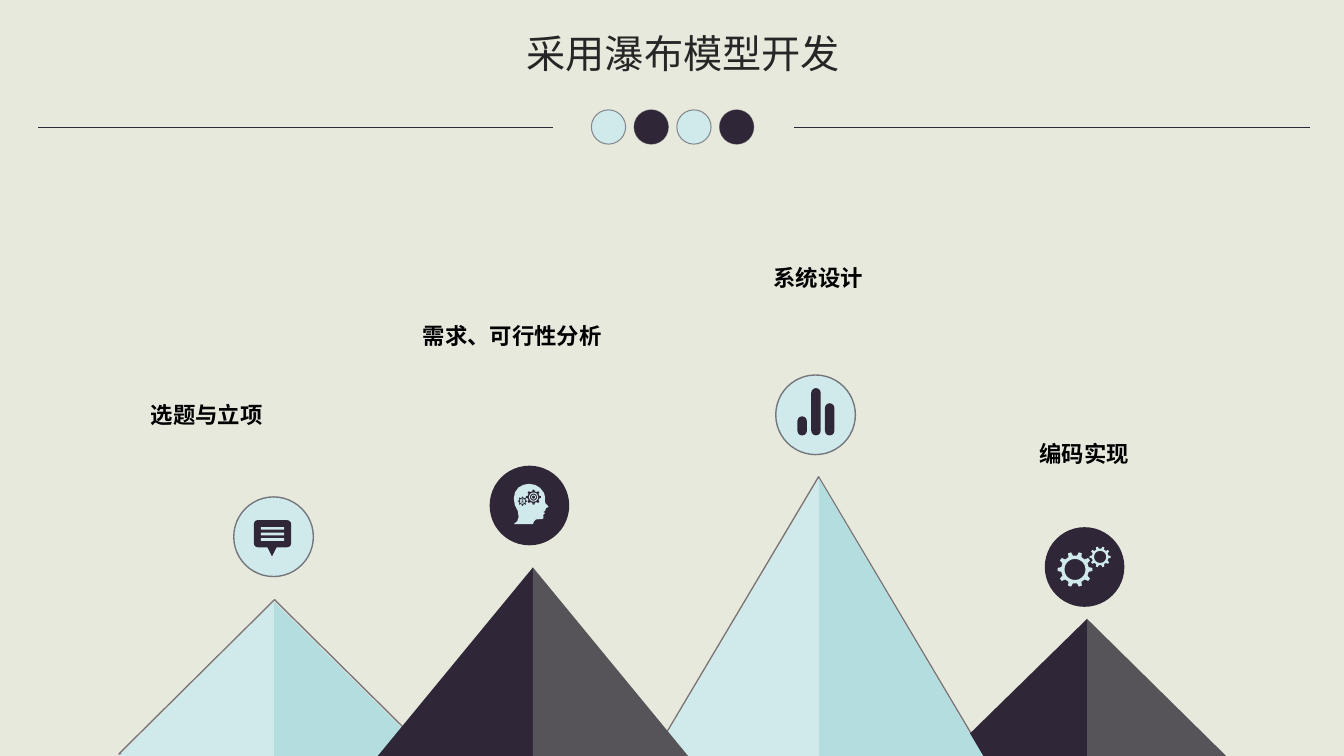
import math

import lxml.etree
import pptx
import pptx.util
from pptx.dml.color import RGBColor
from pptx.enum.shapes import MSO_CONNECTOR, MSO_SHAPE
from pptx.enum.text import MSO_AUTO_SIZE
from pptx.oxml.ns import qn

PX = 914.4  # EMU per px, 1000 px to the inch
WIDTH, HEIGHT = 13340, 7500
ICE, AQUA = "D0EAEB", "B3DDDF"
INK, GREY = "2F2637", "565458"
rgb = RGBColor.from_string


def paint(sp, fill=None, line=None):
    """Set fill and an ink outline; line is (points, opacity in percent)."""
    sp.shadow.inherit = False
    if fill:
        sp.fill.solid()
        sp.fill.fore_color.rgb = rgb(fill)
    else:
        sp.fill.background()
    if line:
        points, opacity = line
        sp.line.width = pptx.util.Pt(points)
        sp.line.color.rgb = rgb(INK)
        color = sp._element.spPr.find(qn("a:ln")).find(".//" + qn("a:srgbClr"))
        lxml.etree.SubElement(color, qn("a:alpha"), val=str(opacity * 1000))
    else:
        sp.line.fill.background()


def add_preset(kind, box, fill=None, line=None, adj=None):
    sp = s.shapes.add_shape(kind, *(round(v * PX) for v in box))
    if adj is not None:
        sp.adjustments[0] = adj
    paint(sp, fill, line)
    return sp


prs = pptx.Presentation()
prs.slide_width, prs.slide_height = round(WIDTH * PX), round(HEIGHT * PX)
s = prs.slides.add_slide(prs.slide_layouts[6])
s.background.fill.solid()
s.background.fill.fore_color.rgb = rgb("E7E9DC")

# Header: rules and dots
for x1, x2 in ((380, 5490), (7880, 13000)):
    rule = s.shapes.add_connector(
        MSO_CONNECTOR.STRAIGHT, *(round(v * PX) for v in (x1, 1260, x2, 1260)))
    rule.line.width = pptx.util.Pt(0.5)
    rule.line.color.rgb = rgb(INK)
    lxml.etree.SubElement(rule._element.spPr, qn("a:effectLst"))
for i in range(4):
    add_preset(MSO_SHAPE.OVAL, (5870 + 424 * i, 1090, 340, 340),
               (ICE, INK)[i % 2], (0.75, 50))

# Mountains: left, peak, right, top, left face, right face
mountains = (
    (9400, 10790, 12170, 6140, INK, GREY),
    (6490, 8130, 9760, 4750, ICE, AQUA),
    (1180, 2720, 4270, 5970, ICE, AQUA),
    (3750, 5290, 6830, 5630, INK, GREY),
)
for left, peak, right, top, left_face, right_face in mountains:
    height = HEIGHT - top
    if left_face == ICE:
        add_preset(MSO_SHAPE.ISOSCELES_TRIANGLE,
                   (left, top - 20, right - left, height), line=(1, 59))
    slope = add_preset(MSO_SHAPE.RIGHT_TRIANGLE,
                       (left, top, peak - left, height), left_face)
    slope._element.spPr.find(qn("a:xfrm")).set("flipH", "1")
    add_preset(MSO_SHAPE.RIGHT_TRIANGLE,
               (peak, top, right - peak, height), right_face)

# Round badges above the peaks
for x, y, fill in ((2320, 4930, ICE), (10370, 5230, INK),
                   (7700, 3720, ICE), (4860, 4620, INK)):
    add_preset(MSO_SHAPE.OVAL, (x, y, 790, 790), fill,
               (1, 59) if fill == ICE else None)

# Speech bubble
add_preset(MSO_SHAPE.FLOWCHART_MERGE, (2650, 5420, 100, 100), INK)
add_preset(MSO_SHAPE.ROUNDED_RECTANGLE, (2520, 5160, 370, 270), INK, adj=0.15)
for i in range(3):
    add_preset(MSO_SHAPE.RECTANGLE, (2590, 5230 + 55 * i, 230, 26), ICE)

# Bars
for x, top in ((7915, 4130), (8052, 3850), (8188, 4000)):
    add_preset(MSO_SHAPE.ROUNDED_RECTANGLE, (x, top, 94, 4320 - top), INK, adj=0.5)

# Head and gears
head = [
    (5250, 4800), (5310, 4810), (5360, 4840), (5400, 4890), (5410, 4930),
    (5408, 4970), (5415, 4995), (5440, 5020), (5443, 5032), (5420, 5040),
    (5410, 5070), (5390, 5080), (5412, 5090), (5392, 5110), (5395, 5140),
    (5380, 5150), (5320, 5153), (5300, 5175), (5290, 5200), (5100, 5200),
    (5135, 5170), (5148, 5130), (5140, 5070), (5110, 5010), (5100, 4945),
    (5112, 4885), (5145, 4838), (5195, 4810),
]
outlines = [(ICE, [head])]
# Gear: centre x, centre y, tip radius, root radius, hole radius, teeth, fill
for cx, cy, tip, root, hole, teeth, fill in (
        (10670, 5650, 174, 138, 104, 10, ICE),
        (10920, 5525, 104, 82, 60, 10, ICE),
        (5186, 4972, 46, 35, 0, 8, INK),
        (5296, 4932, 74, 58, 0, 8, INK)):
    rim = []
    for tooth in range(teeth):
        for offset, radius in ((-0.27, root), (-0.14, tip), (0.14, tip), (0.27, root)):
            angle = (tooth + offset) * math.tau / teeth
            rim.append((cx + radius * math.cos(angle), cy + radius * math.sin(angle)))
    contours = [rim]
    if hole:
        contours.append([(cx + hole * math.cos(a * math.tau / 36),
                          cy + hole * math.sin(a * math.tau / 36)) for a in range(36)])
    outlines.append((fill, contours))
for fill, contours in outlines:
    builder = s.shapes.build_freeform(*contours[0][0], scale=PX)
    for contour in contours:
        if contour is not contours[0]:
            builder.move_to(*contour[0])
        builder.add_line_segments(contour[1:], close=True)
    paint(builder.convert_to_shape(), fill)

# Rings inside the head's gears: centre x, centre y, radius, thickness
for cx, cy, radius, thick in ((5186, 4972, 26, 8), (5186, 4972, 14, 6),
                              (5296, 4932, 46, 10), (5296, 4932, 24, 8)):
    add_preset(MSO_SHAPE.DONUT, (cx - radius, cy - radius, 2 * radius, 2 * radius),
               ICE, adj=thick / (2 * radius))

# Title and labels: text, left, top, height, size, colour, bold
for text, x, y, h, size, color, bold in (
        ("采用瀑布模型开发", 5130, 240, 640, 28, "262626", False),
        ("选题与立项", 1400, 3930, 370, 16, "000000", True),
        ("需求、可行性分析", 4100, 3150, 370, 16, "000000", True),
        ("系统设计", 7580, 2570, 370, 16, "000000", True),
        ("编码实现", 10220, 4320, 370, 16, "000000", True)):
    w = len(text) * size * 1000 / 72 + 200
    tf = s.shapes.add_textbox(*(round(v * PX) for v in (x, y, w, h))).text_frame
    tf.word_wrap = False
    tf.auto_size = MSO_AUTO_SIZE.SHAPE_TO_FIT_TEXT
    p = tf.paragraphs[0]
    p.text = text
    p.font.name = "Arial"
    p.font.size = pptx.util.Pt(size)
    p.font.bold = bold
    p.font.color.rgb = rgb(color)

prs.save("out.pptx")
